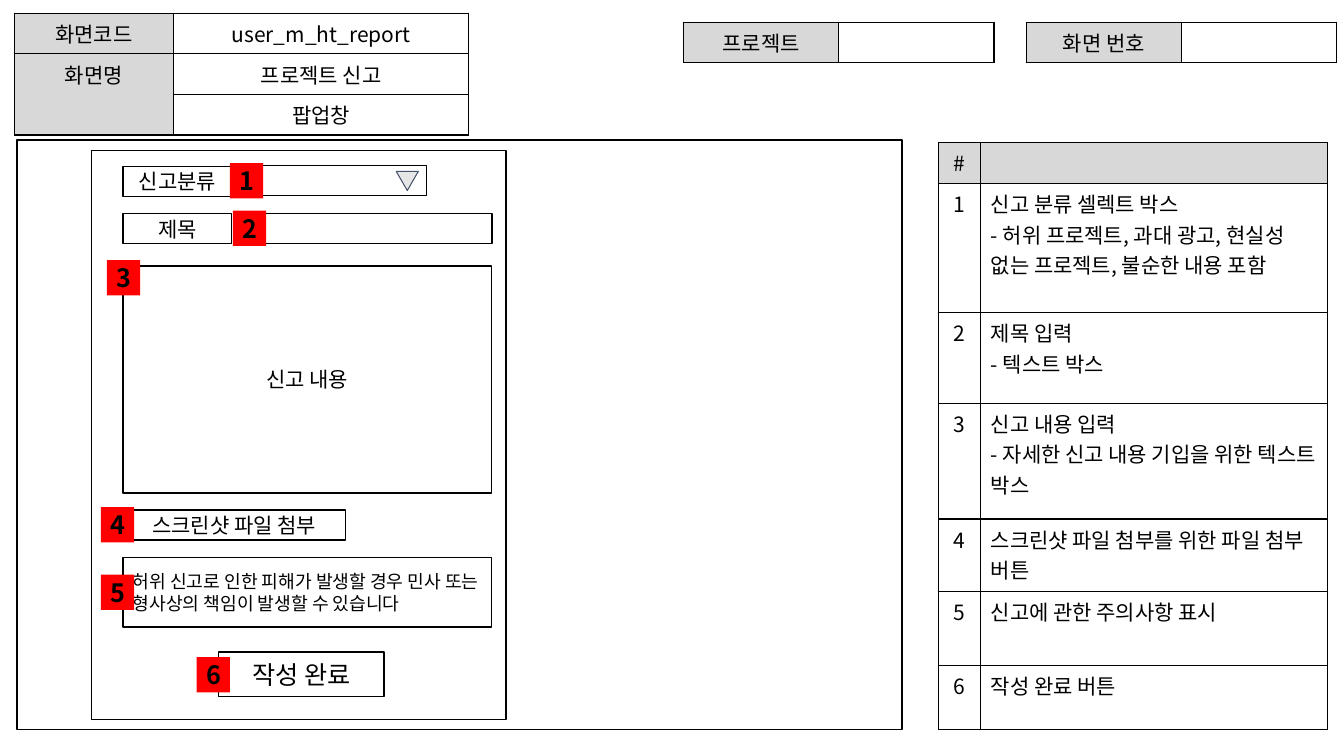
from dataclasses import dataclass

from lxml import etree
from pptx import Presentation
from pptx.dml.color import RGBColor
from pptx.enum import shapes as kinds, text as txt
from pptx.oxml import ns
from pptx.util import Pt

FONT = "Noto Sans CJK KR"
BLACK, WHITE, GRAY, RED = "000000", "FFFFFF", "D8D8D8", "FF0000"
LEFT, MID = txt.PP_ALIGN.LEFT, txt.PP_ALIGN.CENTER
RECT = kinds.MSO_SHAPE.RECTANGLE


@dataclass
class Box:
    x: float
    y: float
    w: float
    h: float
    text: str = ""
    size: float = 15
    fill: str | None = WHITE
    line: str | None = BLACK
    align: txt.PP_ALIGN = MID
    bold: bool = False


@dataclass
class Grid:
    x: float
    y: float
    cols: list[float]
    rows: list[float]
    cells: list[list[str]]
    side: txt.PP_ALIGN = MID  # alignment of the second column
    head: bool = False  # grey first row instead of grey first column


def paint(fmt, code: str | None) -> None:
    """Fill with a hex colour, or clear the fill."""
    if code is None:
        fmt.background()
    else:
        fmt.solid()
        fmt.fore_color.rgb = RGBColor.from_string(code)


def write(frame, words: str, size: float, align, bold: bool = False) -> None:
    frame.text = words
    for para in frame.paragraphs:
        para.alignment = align
        font = para.font
        font.name, font.size, font.bold = FONT, Pt(size), bold
        paint(font.fill, BLACK)
        base = para._p.pPr.find(ns.qn("a:defRPr"))
        etree.SubElement(base, ns.qn("a:ea"), typeface=FONT)
        if not words:
            etree.SubElement(para._p, ns.qn("a:endParaRPr"), sz=str(int(size * 100)))


def draw_box(slide, box: Box):
    shape = slide.shapes.add_shape(RECT, Pt(box.x), Pt(box.y), Pt(box.w), Pt(box.h))
    shape.shadow.inherit = False
    paint(shape.fill, box.fill)
    paint(shape.line.fill, box.line)
    if box.line:
        shape.line.width = Pt(1)
    if box.text:
        frame = shape.text_frame
        frame.word_wrap = True
        frame.vertical_anchor = txt.MSO_ANCHOR.MIDDLE
        write(frame, box.text, box.size, box.align, box.bold)
    return shape


def edge(cell) -> None:
    """Draw the four borders of a cell."""
    props = cell._tc.get_or_add_tcPr()
    for tag in ("lnL", "lnR", "lnT", "lnB"):
        line = etree.SubElement(props, ns.qn(f"a:{tag}"), w=str(Pt(0.96)))
        solid = etree.SubElement(line, ns.qn("a:solidFill"))
        etree.SubElement(solid, ns.qn("a:srgbClr"), val=BLACK)


def draw_grid(slide, grid: Grid):
    table = slide.shapes.add_table(
        len(grid.rows), len(grid.cols), Pt(grid.x), Pt(grid.y),
        Pt(sum(grid.cols)), Pt(sum(grid.rows))).table
    for col, width in zip(table.columns, grid.cols):
        col.width = Pt(width)
    for row, high in zip(table.rows, grid.rows):
        row.height = Pt(high)
    for r, line in enumerate(grid.cells):
        for c, words in enumerate(line):
            cell = table.cell(r, c)
            edge(cell)
            label = r == 0 if grid.head else c == 0
            paint(cell.fill, GRAY if label else WHITE)
            write(cell.text_frame, words, 15, grid.side if c else MID)
    return table


def main() -> None:
    deck = Presentation()
    deck.slide_width, deck.slide_height = Pt(960), Pt(540)
    slide = deck.slides.add_slide(deck.slide_layouts[6])

    # Header tables
    name = draw_grid(slide, Grid(10.1, 9.4, [113.8, 211], [29] * 3, [
        ["화면코드", "user_m_ht_report"],
        ["화면명", "프로젝트 신고"],
        ["", "팝업창"]]))
    name.cell(1, 0).merge(name.cell(2, 0))
    for x, label in ((733, "화면 번호"), (488.2, "프로젝트")):
        draw_grid(slide, Grid(x, 15.8, [110.9] * 2, [29], [[label, ""]]))

    # Screen area
    draw_box(slide, Box(12.2, 100.1, 632.2, 421.2, fill=None))

    # Description table
    notes = [
        "",
        "신고 분류 셀렉트 박스\n- 허위 프로젝트, 과대 광고, 현실성 없는 프로젝트, 불순한 내용 포함",
        "제목 입력\n- 텍스트 박스",
        "신고 내용 입력\n- 자세한 신고 내용 기입을 위한 텍스트 박스",
        "스크린샷 파일 첨부를 위한 파일 첨부 버튼",
        "신고에 관한 주의사항 표시",
        "작성 완료 버튼"]
    draw_grid(slide, Grid(
        670.3, 101.5, [30.2, 247.7], [29.5, 92.2, 64.8, 82.8, 51.8, 52.6, 46.1],
        [[str(i) if i else "#", note] for i, note in enumerate(notes)],
        side=LEFT, head=True))

    # Form fields
    left, wide, high = 87.8, 263.5, 21.6
    for box in (
            Box(156.2, 465.8, 118.1, 31.7, "작성 완료", 18),
            Box(175.7, 152.6, 175.7, high),
            Box(175.7, 118.1, 128.9, high),
            Box(left, 152.6, 77.8, high, "제목"),
            Box(left, 190.1, wide, 162, "신고 내용"),
            Box(left, 364.3, 159.1, high, "스크린샷 파일 첨부"),
            Box(left, 118.8, 77.8, high, "신고분류"),
            Box(left, 398.2, wide, 49.7,
                "허위 신고로 인한 피해가 발생할 경우 민사 또는 형사상의 책임이 발생할 수 있습니다",
                13, align=LEFT)):
        draw_box(slide, box)

    # Arrow of the select box
    arrow = slide.shapes.add_shape(
        kinds.MSO_SHAPE.ISOSCELES_TRIANGLE, Pt(283), Pt(122.4), Pt(15.8), Pt(13.7))
    arrow.rotation = 180
    arrow.shadow.inherit = False
    paint(arrow.fill, "E7E6E6")
    paint(arrow.line.fill, "44546A")
    arrow.line.width = Pt(0.75)

    # Numbered markers
    spots = [(164.2, 116.6), (166.3, 150.5), (76.3, 185.8),
             (72, 362.2), (72, 410.4), (140.4, 469.4)]
    for i, (x, y) in enumerate(spots, 1):
        draw_box(slide, Box(x, y, 23.8, 25.2, str(i), 18, RED, None, bold=True))

    # Popup frame
    draw_box(slide, Box(65.5, 107.3, 295.9, 406.8, fill=None))

    deck.save("out.pptx")


if __name__ == "__main__":
    main()
